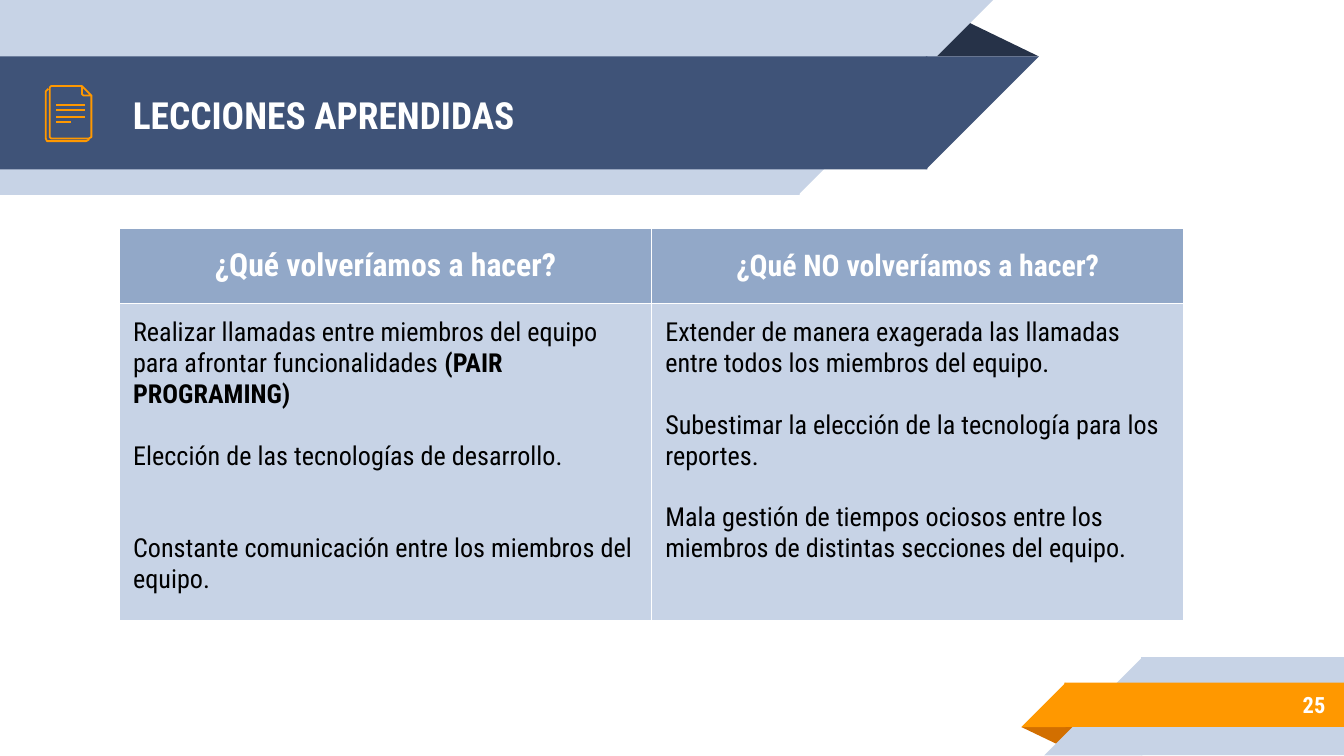
from typing import NamedTuple

from lxml.etree import SubElement
from pptx import Presentation
from pptx.dml.color import RGBColor
from pptx.enum.shapes import MSO_CONNECTOR, MSO_SHAPE
from pptx.enum.text import MSO_ANCHOR, PP_ALIGN
from pptx.oxml.ns import qn
from pptx.util import Inches, Pt

FONT = "Roboto Condensed"
WHITE = RGBColor(0xFF, 0xFF, 0xFF)
BLACK = RGBColor(0, 0, 0)
DARK = RGBColor(0x26, 0x32, 0x48)
NAVY = RGBColor(0x3F, 0x53, 0x78)
STEEL = RGBColor(0x92, 0xA8, 0xC8)
PALE = RGBColor(0xC7, 0xD3, 0xE6)
AMBER = RGBColor(0xFF, 0x98, 0x00)
RUST = RGBColor(0xD2, 0x6F, 0x00)
BLANK_LINE = 16.5


class Band(NamedTuple):
    kind: MSO_SHAPE
    left: float
    top: float
    width: float
    height: float
    color: RGBColor
    turn: int = 0


class Run(NamedTuple):
    text: str
    size: int
    color: RGBColor = WHITE
    bold: bool = True


class Para(NamedTuple):
    runs: list[Run]
    align: PP_ALIGN = PP_ALIGN.LEFT
    gap: int = 0


class Path(NamedTuple):
    points: list[tuple[float, float]]
    close: bool = False


TRI, RECT, WEDGE = MSO_SHAPE.ISOSCELES_TRIANGLE, MSO_SHAPE.RECTANGLE, MSO_SHAPE.RIGHT_TRIANGLE

BANDS = [
    Band(TRI, 6.88, 0.14, 0.85, 0.28, DARK),
    Band(RECT, 0, 0, 5.95, 1.45, PALE),
    Band(WEDGE, 5.94, 0, 1.45, 1.45, PALE, 90),
    Band(RECT, 0, 0.42, 6.9, 0.84, NAVY),
    Band(WEDGE, 6.89, 0.42, 0.84, 0.84, NAVY, 90),
    Band(TRI, 7.6, 5.41, 0.43, 0.14, RUST, 180),
    Band(RECT, 8.49, 4.89, 1.51, 0.73, PALE),
    Band(WEDGE, 7.77, 4.89, 0.73, 0.73, PALE, 270),
    Band(RECT, 7.92, 5.08, 2.08, 0.33, AMBER),
    Band(WEDGE, 7.6, 5.08, 0.33, 0.33, AMBER, 270),
]

PATHS = [
    Path([(0.66, 1.03), (0.66, 1.04), (0.64, 1.05), (0.36, 1.05), (0.35, 1.05),
          (0.34, 1.03), (0.34, 0.68), (0.35, 0.67), (0.36, 0.66)]),
    Path([(0.68, 0.71), (0.68, 1.01), (0.68, 1.02), (0.66, 1.03), (0.38, 1.03),
          (0.37, 1.02), (0.37, 1.01), (0.37, 0.66), (0.37, 0.65), (0.38, 0.64), (0.61, 0.64)]),
    Path([(0.61, 0.7), (0.61, 0.64), (0.68, 0.71), (0.63, 0.71), (0.62, 0.71)], True),
]

RULES = [(0.63, 0.78), (0.63, 0.82), (0.63, 0.87), (0.53, 0.91)]


def body(text: str, gap: int = 0, strong: str = "") -> Para:
    """Make a table paragraph with an optional bold ending."""
    runs = [Run(text, 14, BLACK, False)]
    if strong:
        runs.append(Run(strong, 14, BLACK))
    return Para(runs, gap=gap)


CELLS = [
    [
        [Para([Run("¿Qué volveríamos a hacer?", 17)], PP_ALIGN.CENTER)],
        [Para([Run("¿Qué NO volveríamos a hacer?", 16)], PP_ALIGN.CENTER)],
    ],
    [
        [
            body("Realizar llamadas entre miembros del equipo para afrontar funcionalidades ",
                 strong="(PAIR PROGRAMING)"),
            body("Elección de las tecnologías de desarrollo.", 1),
            body("Constante comunicación entre los miembros del equipo.", 2),
        ],
        [
            body("Extender de manera exagerada las llamadas entre todos los miembros del equipo."),
            body("Subestimar la elección de la tecnología para los reportes.", 1),
            body("Mala gestión de tiempos ociosos entre los miembros de distintas secciones del equipo.", 1),
        ],
    ],
]


def write(frame, paras: list[Para]) -> None:
    """Fill a text frame run by run."""
    for i, para in enumerate(paras):
        line = frame.paragraphs[0] if i == 0 else frame.add_paragraph()
        line.alignment = para.align
        if para.gap:
            line.space_before = Pt(para.gap * BLANK_LINE)
        for part in para.runs:
            run = line.add_run()
            run.text = part.text
            run.font.name = FONT
            run.font.size = Pt(part.size)
            run.font.bold = part.bold
            run.font.color.rgb = part.color


def pad(box) -> None:
    """Set equal margins on a text frame or a cell."""
    box.margin_left = box.margin_right = Inches(0.1)
    box.margin_top = box.margin_bottom = Inches(0.1)


def draw_band(slide, band: Band) -> None:
    """Draw one flat piece of a ribbon."""
    shape = slide.shapes.add_shape(
        band.kind, Inches(band.left), Inches(band.top), Inches(band.width), Inches(band.height))
    shape.shadow.inherit = False
    shape.rotation = band.turn
    if band.kind == TRI:
        shape.adjustments[0] = 0.32
    shape.fill.solid()
    shape.fill.fore_color.rgb = band.color
    shape.line.fill.background()


def draw_text(slide, left: float, top: float, width: float, height: float, para: Para) -> None:
    """Add a text box centred on its height."""
    frame = slide.shapes.add_textbox(
        Inches(left), Inches(top), Inches(width), Inches(height)).text_frame
    frame.word_wrap = True
    frame.vertical_anchor = MSO_ANCHOR.MIDDLE
    pad(frame)
    write(frame, [para])


def draw_icon(slide) -> None:
    """Draw the outlined sheets and their lines of text."""
    for path in PATHS:
        spots = [(Inches(x), Inches(y)) for x, y in path.points]
        pen = slide.shapes.build_freeform(*spots[0])
        pen.add_line_segments(spots[1:], close=path.close)
        shape = pen.convert_to_shape()
        shape.shadow.inherit = False
        shape.fill.background()
        shape.line.color.rgb = AMBER
        shape.line.width = Pt(0.96)
    for right, y in RULES:
        rule = slide.shapes.add_connector(
            MSO_CONNECTOR.STRAIGHT, Inches(right), Inches(y), Inches(0.42), Inches(y))
        rule.line.color.rgb = AMBER
        rule.line.width = Pt(0.96)
        SubElement(rule._element.spPr, qn("a:effectLst"))


def edge(cell) -> None:
    """Give a cell thin white borders."""
    props = cell._tc.get_or_add_tcPr()
    for side in ("lnL", "lnR", "lnT", "lnB"):
        line = SubElement(props, qn(f"a:{side}"), w=str(Pt(0.75)))
        fill = SubElement(line, qn("a:solidFill"))
        SubElement(fill, qn("a:srgbClr"), val=str(WHITE))


def draw_table(slide) -> None:
    """Build the two-column table of lessons."""
    table = slide.shapes.add_table(
        2, 2, Inches(0.89), Inches(1.7), Inches(7.92), Inches(2.92)).table
    table.horz_banding = False
    for row, height in zip(table.rows, (0.56, 2.36)):
        row.height = Inches(height)
    for r, row in enumerate(CELLS):
        for c, paras in enumerate(row):
            cell = table.cell(r, c)
            edge(cell)
            cell.fill.solid()
            cell.fill.fore_color.rgb = PALE if r else STEEL
            cell.vertical_anchor = MSO_ANCHOR.TOP if r else MSO_ANCHOR.MIDDLE
            pad(cell)
            write(cell.text_frame, paras)


def main() -> None:
    """Build and save the slide."""
    deck = Presentation()
    deck.slide_width, deck.slide_height = Inches(10), Inches(10 * 9 / 16)
    slide = deck.slides.add_slide(deck.slide_layouts[6])
    for band in BANDS:
        draw_band(slide, band)
    draw_text(slide, 0.89, 0.43, 5.75, 0.84, Para([Run("LECCIONES APRENDIDAS", 20)]))
    draw_text(slide, 8.33, 5.07, 1.63, 0.35, Para([Run("25", 12)], PP_ALIGN.RIGHT))
    draw_icon(slide)
    draw_table(slide)
    deck.save("out.pptx")


if __name__ == "__main__":
    main()
